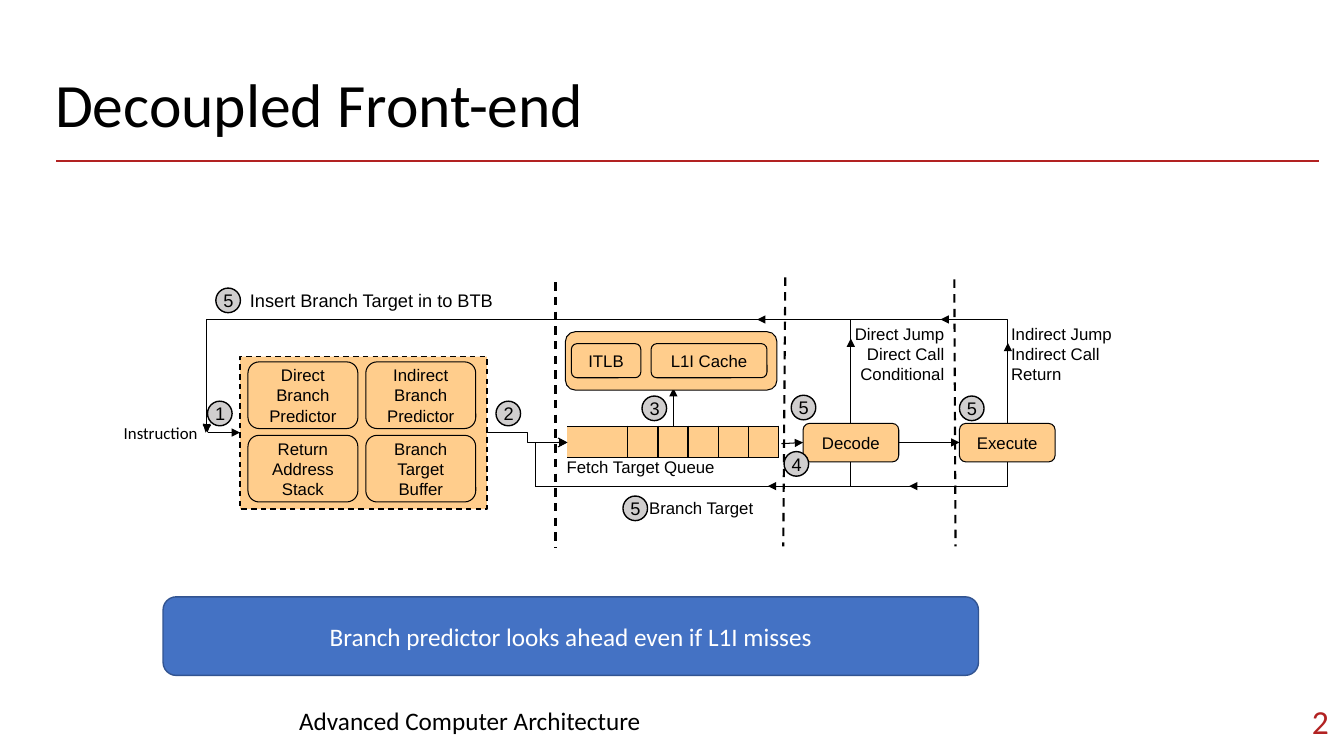
from lxml import etree
from pptx import Presentation
from pptx import util as u
from pptx.dml.color import RGBColor
from pptx.enum import dml, shapes, text
from pptx.oxml import ns

Cm, Pt = u.Cm, u.Pt
PEACH, GREY, BLACK, RED = "FFCD8C", "D0CECE", "000000", "B22222"
LEFT, MID, RIGHT = text.PP_ALIGN.LEFT, text.PP_ALIGN.CENTER, text.PP_ALIGN.RIGHT
TIGHT = (0.18, 0.1, 0.18, 0.1)
WIDE = (0.25, 0.25, 0.25, 0.25)
NORMAL = (0.25, 0.13, 0.25, 0.13)


def rgb(code):
    return RGBColor.from_string(code)


def sub(node, tag, **attrs):
    return etree.SubElement(node, ns.qn(tag), **attrs)


def write(frame, lines, size, font="Arial", color=BLACK, align=LEFT,
          pad=TIGHT, anchor=text.MSO_ANCHOR.TOP, gap=None):
    frame.word_wrap = True
    frame.vertical_anchor = anchor
    (frame.margin_left, frame.margin_top,
     frame.margin_right, frame.margin_bottom) = [Cm(p) for p in pad]
    for i, line in enumerate(lines):
        para = frame.add_paragraph() if i else frame.paragraphs[0]
        para.alignment = align
        if gap:
            para.line_spacing = gap
        run = para.add_run()
        run.text = line
        run.font.size = Pt(size)
        run.font.name = font
        run.font.color.rgb = rgb(color)


def label(slide, at, lines, size, **style):
    area = slide.shapes.add_textbox(*[Cm(v) for v in at])
    write(area.text_frame, lines, size, **style)


def block(home, kind, at, fill, edge=BLACK, width=0.75, dash=None):
    shape = home.shapes.add_shape(kind, *[Cm(v) for v in at])
    shape.shadow.inherit = False
    shape.fill.solid()
    shape.fill.fore_color.rgb = rgb(fill)
    shape.line.color.rgb = rgb(edge)
    shape.line.width = Pt(width)
    if dash:
        shape.line.dash_style = dash
    return shape


def stage(home, at, name=None):
    shape = block(home, shapes.MSO_SHAPE.ROUNDED_RECTANGLE, at, PEACH)
    if name:
        write(shape.text_frame, [name], 12, align=MID, pad=WIDE,
              anchor=text.MSO_ANCHOR.MIDDLE)


def badge(slide, x, y, digit):
    shape = block(slide, shapes.MSO_SHAPE.OVAL, (x, y, 0.62, 0.62), GREY, width=1)
    write(shape.text_frame, [digit], 13, pad=(0.1, 0.1, 0.18, 0.1),
          anchor=text.MSO_ANCHOR.MIDDLE)


def line(slide, x1, y1, x2, y2, color=BLACK, width=0.75, dash=None,
         tip=None, kind=shapes.MSO_CONNECTOR.STRAIGHT):
    link = slide.shapes.add_connector(kind, Cm(x1), Cm(y1), Cm(x2), Cm(y2))
    link.line.color.rgb = rgb(color)
    link.line.width = Pt(width)
    if dash:
        link.line.dash_style = dash
    props = link._element.spPr
    if tip:
        sub(props.find(ns.qn("a:ln")), "a:tailEnd", type=tip)
    sub(props, "a:effectLst")
    return link


def loop(slide, x1, y1, x2, y2, rail, trunk, tip=None):
    """Go up or down to the rail, left to the trunk, then to the end."""
    drop, span = y2 - y1, x1 - x2
    wide = abs(drop)
    left, top = (x1 + x2 - wide) / 2, (y1 + y2 - span) / 2
    link = line(slide, left, top, left + wide, top + span, tip=tip,
                kind=shapes.MSO_CONNECTOR.ELBOW)
    props = link._element.spPr
    xfrm = props.find(ns.qn("a:xfrm"))
    xfrm.set("rot", "5400000")
    if drop < 0:
        xfrm.set("flipH", "1")
    geom = props.find(ns.qn("a:prstGeom"))
    geom.set("prst", "bentConnector4")
    guides = geom.find(ns.qn("a:avLst"))
    for i, part in enumerate(((rail - y1) / drop, (x1 - trunk) / span), 1):
        sub(guides, "a:gd", name=f"adj{i}", fmla=f"val {round(part * 100000)}")


def queue(slide, x, y, count, side, high):
    frame = slide.shapes.add_table(1, count, Cm(x), Cm(y), Cm(count * side), Cm(high))
    grid = frame.table
    grid.first_row = grid.horz_banding = False
    grid.rows[0].height = Cm(high)
    for i in range(count):
        grid.columns[i].width = Cm(side)
        cell = grid.cell(0, i)
        cell.margin_top = cell.margin_bottom = 0
        props = cell._tc.get_or_add_tcPr()
        # The first two cells read as one slot, open on the left
        bare = {0: "LR", 1: "L"}.get(i, "")
        for edge in "LRTB":
            rim = sub(props, f"a:ln{edge}", w=str(Pt(1)))
            if edge in bare:
                sub(rim, "a:noFill")
            else:
                sub(sub(rim, "a:solidFill"), "a:srgbClr", val=BLACK)
        cell.fill.solid()
        cell.fill.fore_color.rgb = rgb(PEACH)


def main():
    deck = Presentation()
    deck.slide_width, deck.slide_height = Cm(33.87), Cm(19.05)
    slide = deck.slides.add_slide(deck.slide_layouts[6])
    dash = dml.MSO_LINE.DASH
    middle = text.MSO_ANCHOR.MIDDLE

    # Heading and page number
    line(slide, 1.42, 4.06, 33.25, 4.06, RED, 1.5)
    label(slide, (1.14, 1.63, 31.55, 2.13), ["Decoupled Front-end"], 44,
          font="Calibri", pad=WIDE, gap=0.9)
    label(slide, (31.17, 17.45, 2.57, 1.44), ["2"], 24, font="Calibri",
          color=RED, align=RIGHT, pad=WIDE, anchor=middle)

    # Labels
    label(slide, (2.87, 10.59, 2.36, 0.61), ["Instruction"], 12,
          font="Calibri", align=MID, anchor=middle)
    label(slide, (21.26, 8.05, 2.72, 1.73),
          ["Direct Jump", "Direct Call", "Conditional"], 12, align=RIGHT)
    label(slide, (25.3, 8.05, 2.95, 1.73),
          ["Indirect Jump", "Indirect Call", "Return"], 12)
    label(slide, (14.1, 11.4, 4.32, 0.71), ["Fetch Target Queue"], 12)
    label(slide, (6.12, 7.19, 7.8, 0.71), ["Insert Branch Target in to BTB"], 13)
    label(slide, (16.18, 12.45, 3.53, 0.71), ["Branch Target"], 12)

    # Fetch target queue
    queue(slide, 14.3, 10.74, 7, 0.76, 0.78)

    # Stage borders
    for x1, y1, x2, y2 in ((14, 7.11, 14, 13.82), (19.79, 6.99, 19.74, 13.77),
                           (24.05, 7.04, 24.08, 13.77)):
        line(slide, x1, y1, x2, y2, width=1.5, dash=dash)

    # Feedback loops from Decode and Execute
    decode, execute = 21.44, 25.4
    loop(slide, decode, 10.67, 5.18, 10.9, 8.05, 5.21, "triangle")
    loop(slide, execute, 10.67, 5.23, 10.9, 8.05, 5.21, "triangle")
    loop(slide, decode, 11.63, 14.3, 11.15, 12.27, 13.49, "triangle")
    loop(slide, execute, 11.63, 13.49, 11.15, 12.27, 13.49)
    line(slide, 12.27, 10.9, 14.3, 11.15, tip="arrow",
         kind=shapes.MSO_CONNECTOR.ELBOW)

    # Straight arrows: forward flow, then marks along the loops
    for ends in ((5.23, 10.9, 6.05, 10.9), (16.97, 10.74, 16.97, 9.78),
                 (19.69, 11.18, 20.24, 11.15), (22.63, 11.15, 24.18, 11.15),
                 (decode, 10.57, decode, 8.53), (execute, 10.64, execute, 8.64),
                 (25.15, 8.05, 23.7, 8.05), (20.85, 8.05, 19.08, 8.05),
                 (21.13, 12.25, 19.35, 12.25), (25.22, 12.25, 22.91, 12.25)):
        line(slide, *ends, tip="triangle")

    # Instruction cache
    cache = slide.shapes.add_group_shape()
    stage(cache, (14.25, 8.36, 5.33, 1.47))
    stage(cache, (14.4, 8.66, 1.75, 0.86), "ITLB")
    stage(cache, (16.41, 8.66, 2.92, 0.86), "L1I Cache")

    # Branch predictors, two by two
    block(slide, shapes.MSO_SHAPE.RECTANGLE, (6.05, 8.99, 6.22, 3.84), PEACH,
          width=1, dash=dash)
    names = ("Direct Branch Predictor", "Indirect Branch Predictor",
             "Return Address Stack", "Branch Target Buffer")
    for i, name in enumerate(names):
        row, col = divmod(i, 2)
        stage(slide, (6.25 + 2.97 * col, 9.12 + 1.85 * row, 2.77, 1.68), name)

    # Back-end stages
    stage(slide, (20.24, 10.67, 2.41, 0.97), "Decode")
    stage(slide, (24.18, 10.67, 2.41, 0.97), "Execute")

    # Step numbers
    for x, y, digit in ((5.23, 10.11, "1"), (12.5, 10.11, "2"), (16.18, 9.98, "3"),
                        (19.76, 11.38, "4"), (5.44, 7.26, "5"), (19.94, 9.96, "5"),
                        (24.18, 9.98, "5"), (15.7, 12.5, "5")):
        badge(slide, x, y, digit)

    # Takeaway and footer
    note = block(slide, shapes.MSO_SHAPE.ROUNDED_RECTANGLE,
                 (4.11, 15.04, 20.55, 1.98), "4472C4", "325491", 1)
    write(note.text_frame, ["Branch predictor looks ahead even if L1I misses"], 18,
          font="Calibri", color="FFFFFF", align=MID, pad=NORMAL, anchor=middle)
    label(slide, (7.29, 17.65, 15.37, 1.02), ["Advanced Computer Architecture"], 18,
          font="Calibri", pad=NORMAL)

    deck.save("out.pptx")


if __name__ == "__main__":
    main()
